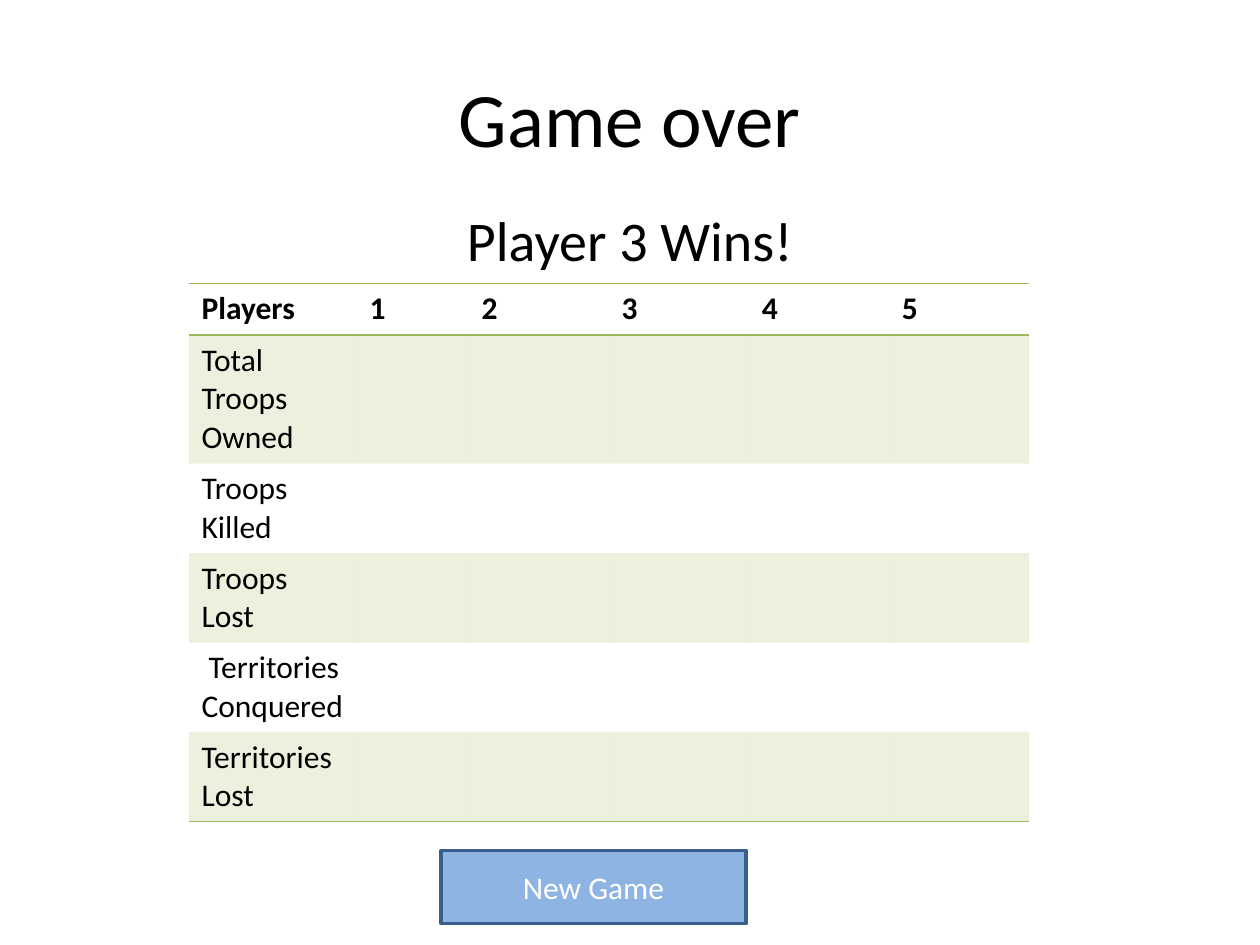
from lxml import etree
from pptx import Presentation, util as u
from pptx.dml.color import RGBColor
from pptx.enum import shapes, text
from pptx.oxml.ns import qn

# Content
TITLE = "Game over"
RESULT = "Player 3 Wins!"
BUTTON = "New Game"
HEADER = ["Players", "1", "2", "3", "4", "5"]
STATISTICS = ["Total Troops Owned", "Troops Killed", "Troops Lost",
              " Territories Conquered", "Territories Lost"]

# Format
COLORS = {"ink": "000000", "green": "9BBB59", "button": "8EB4E3",
          "outline": "3A5F8C", "white": "FFFFFF"}
FONT = "Calibri"
BAND_OPACITY = 20
NO_STYLE = "{2D5ABB26-0587-4C30-8999-92F81FD0307C}"
WIDTH, HEIGHT = 10, 7.5
MARGIN = WIDTH / 20
TABLE_LEFT, TABLE_TOP, TABLE_WIDTH = 1.5, 2.25, 6.67
COLUMN_SHARES = [12, 8, 10, 10, 10, 10]
ROW_HEIGHTS = [0.41, 1.02] + [0.71] * 4


def color(name):
    return RGBColor.from_string(COLORS[name])


def write(frame, words, size, ink="ink", bold=False, align=None):
    paragraph = frame.paragraphs[0]
    paragraph.alignment = align
    run = paragraph.add_run()
    run.text = words
    formats = {"name": FONT, "size": u.Pt(size), "bold": bold}
    for name, value in formats.items():
        setattr(run.font, name, value)
    run.font.color.rgb = color(ink)
    return paragraph


def add_border(cell, side):
    line = etree.SubElement(cell._tc.get_or_add_tcPr(), qn("a:" + side), w=str(u.Pt(1)))
    fill = etree.SubElement(line, qn("a:solidFill"))
    etree.SubElement(fill, qn("a:srgbClr"), val=COLORS["green"])


def add_band(cell):
    cell.fill.solid()
    cell.fill.fore_color.rgb = color("green")
    tint = cell._tc.tcPr.find(qn("a:solidFill"))[0]
    etree.SubElement(tint, qn("a:alpha"), val=str(BAND_OPACITY * 1000))


presentation = Presentation()
presentation.slide_width, presentation.slide_height = u.Inches(WIDTH), u.Inches(HEIGHT)
slide = presentation.slides.add_slide(presentation.slide_layouts[6])

# Headings
for words, top, height, size, anchor in [
        (TITLE, 0.3, 1.25, 44, text.MSO_ANCHOR.MIDDLE),
        (RESULT, 1.58, 4.95, 32, text.MSO_ANCHOR.TOP)]:
    box = slide.shapes.add_textbox(*map(u.Inches, (MARGIN, top, WIDTH - 2 * MARGIN, height)))
    box.text_frame.word_wrap = True
    box.text_frame.vertical_anchor = anchor
    write(box.text_frame, words, size, align=text.PP_ALIGN.CENTER)

# Statistics table
rows = [HEADER] + [[name] + [""] * (len(HEADER) - 1) for name in STATISTICS]
frame = slide.shapes.add_table(
    len(rows), len(HEADER),
    *map(u.Inches, (TABLE_LEFT, TABLE_TOP, TABLE_WIDTH, sum(ROW_HEIGHTS))))
table = frame.table
table._tbl.tblPr.find(qn("a:tableStyleId")).text = NO_STYLE
for column, share in zip(table.columns, COLUMN_SHARES):
    column.width = u.Inches(TABLE_WIDTH * share / sum(COLUMN_SHARES))
for row, height in zip(table.rows, ROW_HEIGHTS):
    row.height = u.Inches(height)
for i, row in enumerate(rows):
    for j, words in enumerate(row):
        cell = table.cell(i, j)
        write(cell.text_frame, words, 18, bold=i == 0)
        if i == 0:
            add_border(cell, "lnT")
        if i in (0, len(rows) - 1):
            add_border(cell, "lnB")
        if i % 2:
            add_band(cell)
        else:
            cell.fill.background()

# New game button
button = slide.shapes.add_shape(shapes.MSO_SHAPE.RECTANGLE,
                                *map(u.Inches, (3.5, 6.75, 2.42, 0.58)))
button.shadow.inherit = False
button.fill.solid()
button.fill.fore_color.rgb = color("button")
button.line.color.rgb = color("outline")
button.line.width = u.Pt(2)
button.text_frame.vertical_anchor = text.MSO_ANCHOR.MIDDLE
write(button.text_frame, BUTTON, 18, "white", align=text.PP_ALIGN.CENTER)

presentation.save("out.pptx")
